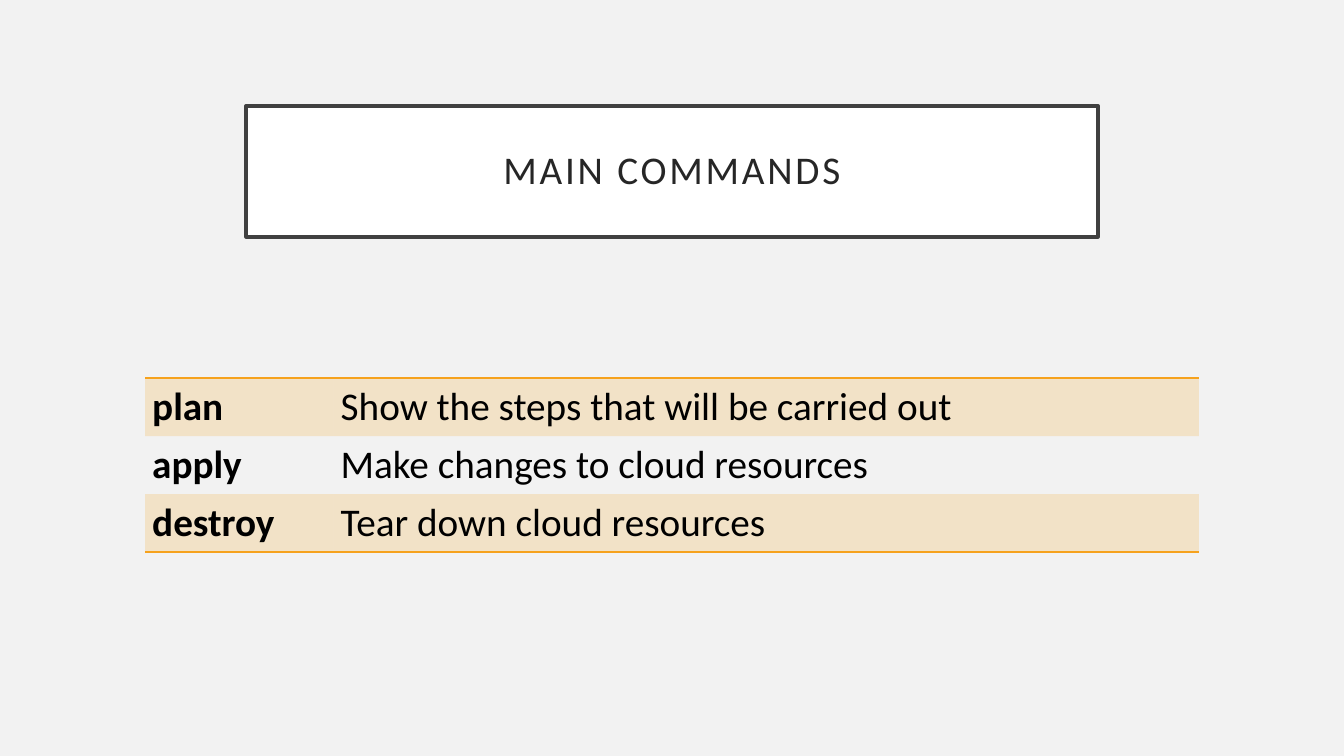
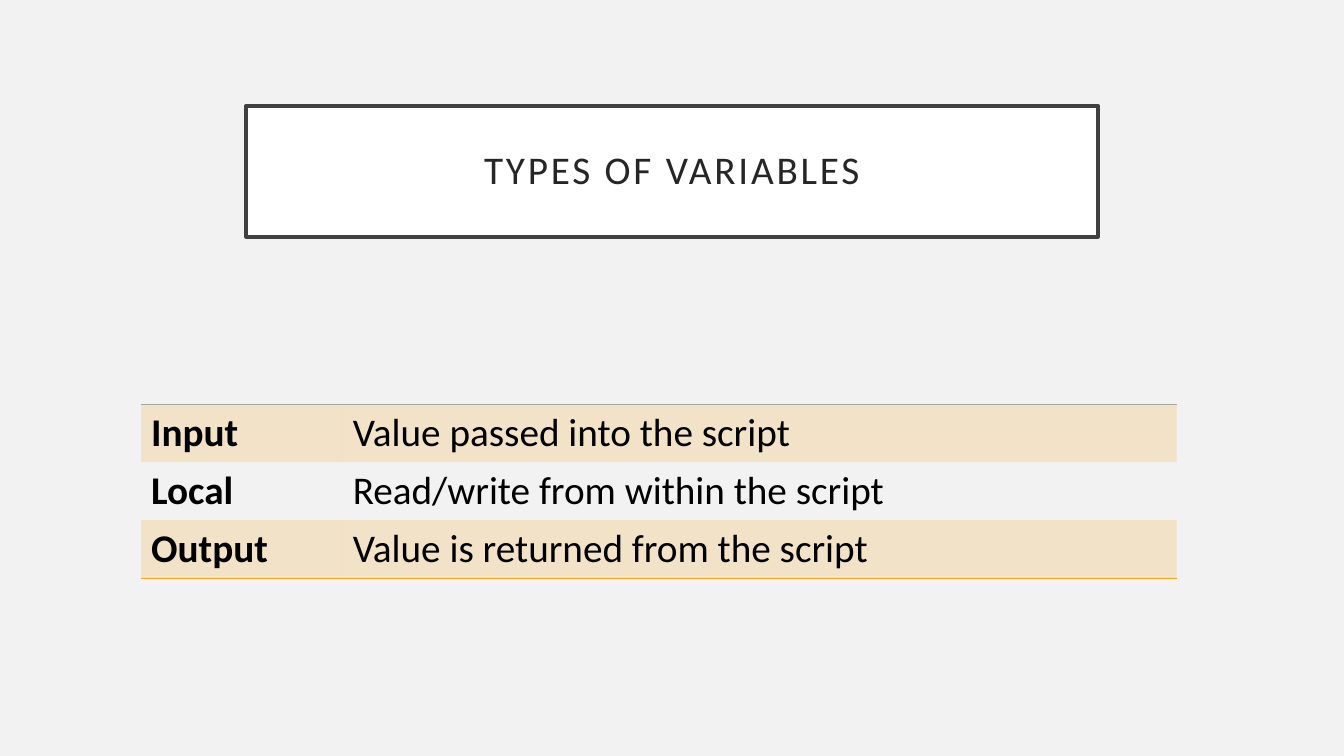
from lxml import etree
from pptx import Presentation
from pptx.dml.color import RGBColor
from pptx.enum.shapes import MSO_SHAPE
from pptx.enum.text import MSO_ANCHOR, PP_ALIGN
from pptx.oxml.ns import qn
from pptx.util import Inches, Pt

RECTANGLE = MSO_SHAPE.RECTANGLE
MIDDLE = MSO_ANCHOR.MIDDLE
CENTER = PP_ALIGN.CENTER

BACKGROUND = RGBColor(0xF2, 0xF2, 0xF2)
WHITE = RGBColor(0xFF, 0xFF, 0xFF)
BLACK = RGBColor(0x00, 0x00, 0x00)
FRAME = RGBColor(0x40, 0x40, 0x40)
TITLE_TEXT = RGBColor(0x26, 0x26, 0x26)
ACCENT = RGBColor(0xF6, 0xA2, 0x1D)
GREY = RGBColor(0xA6, 0xA6, 0xA6)

FONT = "Calibri"
FONT_SIZE = Pt(28)
ROW_HEIGHT = 0.57
BAND_OPACITY = 20
PLAIN_TABLE_STYLE = "{2D5ABB26-0587-4C30-8999-92F81FD0307C}"
ACCENT_RULE = (ACCENT, 1)
THIN_RULE = (GREY, 0.5)

COMMANDS = [
    ("plan", "Show the steps that will be carried out"),
    ("apply", "Make changes to cloud resources"),
    ("destroy", "Tear down cloud resources"),
]
VARIABLES = [
    ("Input", "Value passed into the script"),
    ("Local", "Read/write from within the script"),
    ("Output", "Value is returned from the script"),
]


def set_font(paragraph, color, bold=False):
    font = paragraph.font
    font.name, font.size, font.bold = FONT, FONT_SIZE, bold
    font.color.rgb = color


def add_titled_slide(presentation, title):
    slide = presentation.slides.add_slide(presentation.slide_layouts[6])
    slide.background.fill.solid()
    slide.background.fill.fore_color.rgb = BACKGROUND

    # Framed title box
    shape = slide.shapes.add_shape(
        RECTANGLE, Inches(2.44), Inches(1.05), Inches(8.45), Inches(1.3))
    shape.shadow.inherit = False
    shape.fill.solid()
    shape.fill.fore_color.rgb = WHITE
    shape.line.color.rgb = FRAME
    shape.line.width = Pt(2.5)

    # Letter-spaced title text
    frame = shape.text_frame
    frame.word_wrap = True
    frame.vertical_anchor = MIDDLE
    frame.margin_left = frame.margin_right = Inches(0.2)
    frame.margin_top = frame.margin_bottom = Inches(0.2)
    paragraph = frame.paragraphs[0]
    paragraph.text = title
    paragraph.alignment = CENTER
    paragraph.line_spacing = 0.9
    set_font(paragraph, TITLE_TEXT)
    paragraph.font._element.set("spc", "200")
    return slide


def fill_band(cell):
    cell.fill.solid()
    cell.fill.fore_color.rgb = ACCENT
    color = cell._tc.tcPr.find(f"{qn('a:solidFill')}/{qn('a:srgbClr')}")
    etree.SubElement(color, qn("a:alpha"), val=str(BAND_OPACITY * 1000))


def add_border(cell, side, rule):
    color, width = rule
    line = etree.Element(qn(f"a:ln{side}"), w=str(Pt(width)))
    fill = etree.SubElement(line, qn("a:solidFill"))
    etree.SubElement(fill, qn("a:srgbClr"), val=str(color))
    # Borders come before the fill in the cell properties
    cell._tc.get_or_add_tcPr().insert(0, line)


def add_definition_table(slide, rows, left, top, widths, margin, top_rule):
    table = slide.shapes.add_table(
        len(rows), len(widths), Inches(left), Inches(top),
        Inches(sum(widths)), Inches(ROW_HEIGHT * len(rows))).table
    table.first_row = table.horz_banding = False
    table._tbl.tblPr.find(qn("a:tableStyleId")).text = PLAIN_TABLE_STYLE
    for column, width in zip(table.columns, widths):
        column.width = Inches(width)

    last = len(rows) - 1
    for row_index, texts in enumerate(rows):
        table.rows[row_index].height = Inches(ROW_HEIGHT)
        for column_index, text in enumerate(texts):
            cell = table.cell(row_index, column_index)
            cell.margin_left = cell.margin_right = Inches(margin)
            cell.margin_top = cell.margin_bottom = Inches(0.05)
            paragraph = cell.text_frame.paragraphs[0]
            paragraph.text = text
            set_font(paragraph, BLACK, bold=column_index == 0)
            # Every other row is tinted; rules close the table
            if row_index % 2 == 0:
                fill_band(cell)
            else:
                cell.fill.background()
            if row_index == 0:
                add_border(cell, "T", top_rule)
            if row_index == last:
                add_border(cell, "B", ACCENT_RULE)


def main():
    presentation = Presentation()
    presentation.slide_width = Inches(13.33)
    presentation.slide_height = Inches(7.5)

    slide = add_titled_slide(presentation, "MAIN COMMANDS")
    add_definition_table(slide, COMMANDS, 1.44, 3.75, (1.87, 8.58), 0.07,
                         ACCENT_RULE)

    slide = add_titled_slide(presentation, "TYPES OF VARIABLES")
    add_definition_table(slide, VARIABLES, 1.4, 4.01, (2, 8.27), 0.1,
                         THIN_RULE)

    presentation.save("out.pptx")


if __name__ == "__main__":
    main()
